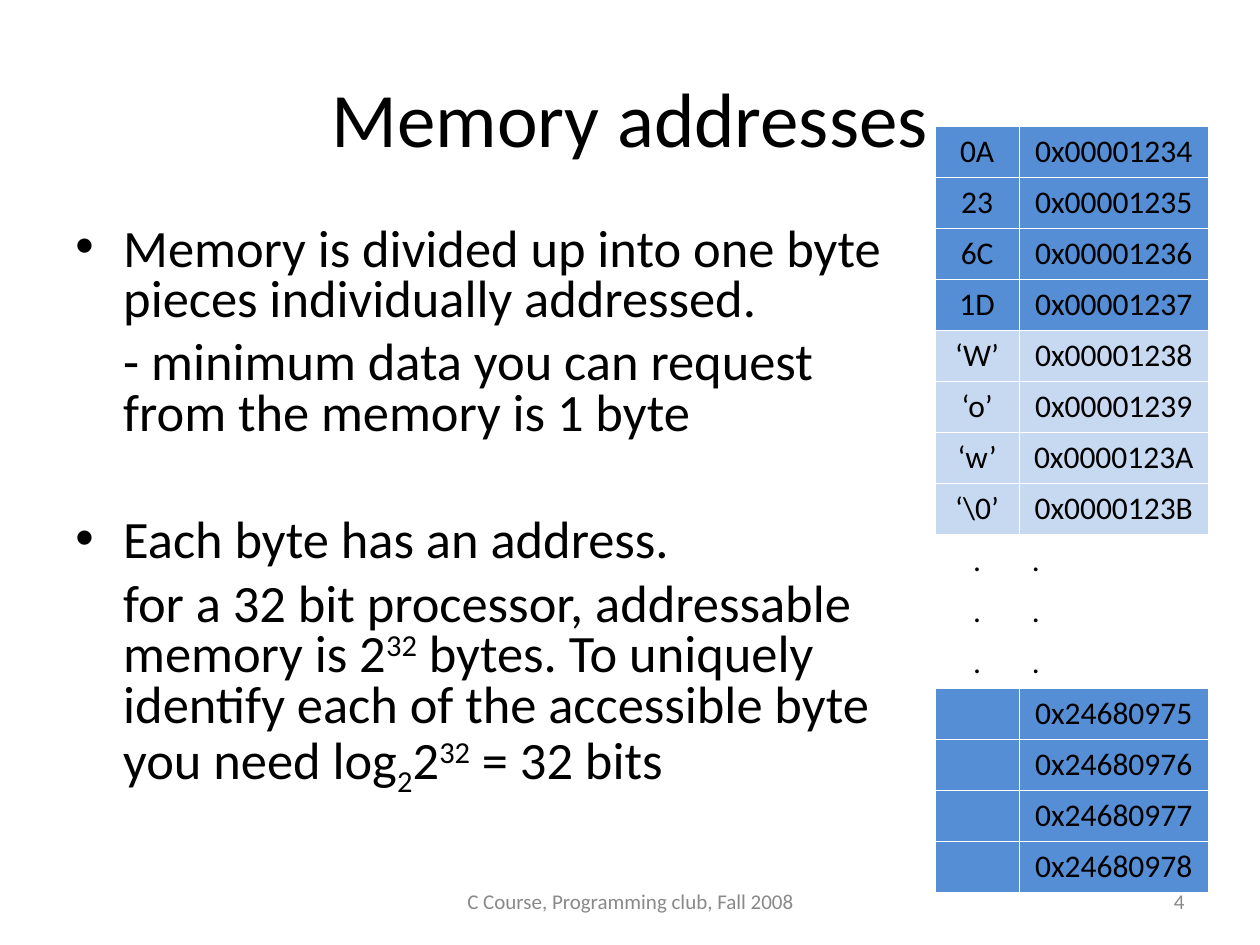
from lxml import etree
from pptx import Presentation
from pptx import util as u
from pptx.dml.color import RGBColor
from pptx.enum import text as t
from pptx.oxml.ns import qn

# Content
TITLE = "Memory addresses"
# Each paragraph: bullet, space before, runs of (text, baseline shift in %)
BODY = [
    (True, 7.5, [("Memory is divided up into one byte pieces individually addressed.", 0)]),
    (False, 7.5, [("- minimum data you can request from the memory is 1 byte", 0)]),
    (True, 44, [("Each byte has an address.", 0)]),
    (False, 7.5, [("for a 32 bit processor, addressable memory is 2", 0), ("32", 30),
                  (" bytes. To uniquely identify each of the accessible byte you need log", 0),
                  ("2", -25), ("2", 0), ("32", 30), (" = 32 bits", 0)]),
]
# Each group: fill, address alignment, rows of (value, address)
CELLS = [
    ("blue", "CENTER", [("0A", "0x00001234"), ("23", "0x00001235"),
                        ("6C", "0x00001236"), ("1D", "0x00001237")]),
    ("pale", "CENTER", [("‘W’", "0x00001238"), ("‘o’", "0x00001239"),
                        ("‘w’", "0x0000123A"), ("‘\\0’", "0x0000123B")]),
    ("white", "LEFT", [(".", ".")] * 3),
    ("blue", "CENTER", [("", f"0x2468097{n}") for n in range(5, 9)]),
]
# Each note: text, left, width, alignment
NOTES = [("C Course, Programming club, Fall 2008", 3.42, 3.17, "CENTER"),
         ("4", 7.17, 2.33, "RIGHT")]
HEX = {"black": "000000", "grey": "898989", "blue": "558ED5", "pale": "C6D9F1", "white": "FFFFFF"}
WIDE, HIGH = 10, 7.5
COLS = (0.67, 1.5)
TABLE_H = 6.08


def inch(*nums):
    return [u.Inches(n) for n in nums]


def put(para, words, size, color="black"):
    run = para.add_run()
    run.text = words
    look = {"name": "Calibri", "size": u.Pt(size), "bold": False}
    for key, val in look.items():
        setattr(run.font, key, val)
    run.font.color.rgb = RGBColor.from_string(HEX[color])
    return run


def frame(shape, anchor):
    look = {"word_wrap": True, "auto_size": t.MSO_AUTO_SIZE.NONE, "vertical_anchor": anchor}
    for key, val in look.items():
        setattr(shape.text_frame, key, val)
    return shape.text_frame


def indent(para, bullet):
    prop = para._p.get_or_add_pPr()
    prop.set("marL", str(u.Inches(0.38)))
    prop.set("indent", str(u.Inches(-0.38 if bullet else 0)))
    if bullet:
        etree.SubElement(prop, qn("a:buFont"), typeface="Arial")
        etree.SubElement(prop, qn("a:buChar"), char="•")


def edge(cell):
    prop = cell._tc.get_or_add_tcPr()
    for at, side in enumerate("LRTB"):
        line = etree.Element(qn(f"a:ln{side}"), w=str(u.Pt(0.45)))
        fill = etree.SubElement(line, qn("a:solidFill"))
        etree.SubElement(fill, qn("a:srgbClr"), val=HEX["white"])
        prop.insert(at, line)


deck = Presentation()
deck.slide_width, deck.slide_height = inch(WIDE, HIGH)
slide = deck.slides.add_slide(deck.slide_layouts[5])

# Title
head = slide.shapes.title
head.left, head.top, head.width, head.height = inch(0.5, 0.3, 9, 1.25)
para = frame(head, t.MSO_ANCHOR.MIDDLE).paragraphs[0]
para.alignment = t.PP_ALIGN.CENTER
put(para, TITLE, 44)

# Body text
body = frame(slide.shapes.add_textbox(*inch(0.5, 1.75, 6.67, 4.95)), t.MSO_ANCHOR.TOP)
for num, (bullet, gap, runs) in enumerate(BODY):
    para = body.add_paragraph() if num else body.paragraphs[0]
    para.line_spacing, para.space_before = 0.8, u.Pt(gap)
    indent(para, bullet)
    for words, shift in runs:
        run = put(para, words, 30)
        if shift:
            run.font._element.set("baseline", str(shift * 1000))

# Memory table
rows = [(fill, side, pair) for fill, side, pairs in CELLS for pair in pairs]
table = slide.shapes.add_table(len(rows), len(COLS),
                               *inch(7.42, 1, sum(COLS), TABLE_H)).table
table.first_row = table.horz_banding = False
for col, width in zip(table.columns, COLS):
    col.width = u.Inches(width)
for r, (fill, side, pair) in enumerate(rows):
    table.rows[r].height = u.Inches(TABLE_H / len(rows))
    for c, words in enumerate(pair):
        cell = table.cell(r, c)
        cell.fill.solid()
        cell.fill.fore_color.rgb = RGBColor.from_string(HEX[fill])
        edge(cell)
        para = cell.text_frame.paragraphs[0]
        para.alignment = t.PP_ALIGN[side if c else "CENTER"]
        if words:
            put(para, words, 18)

# Footer and slide number
for words, left, width, side in NOTES:
    box = slide.shapes.add_textbox(*inch(left, 6.95, width, 0.4))
    para = frame(box, t.MSO_ANCHOR.MIDDLE).paragraphs[0]
    para.alignment = t.PP_ALIGN[side]
    put(para, words, 12, "grey")

deck.save("out.pptx")
